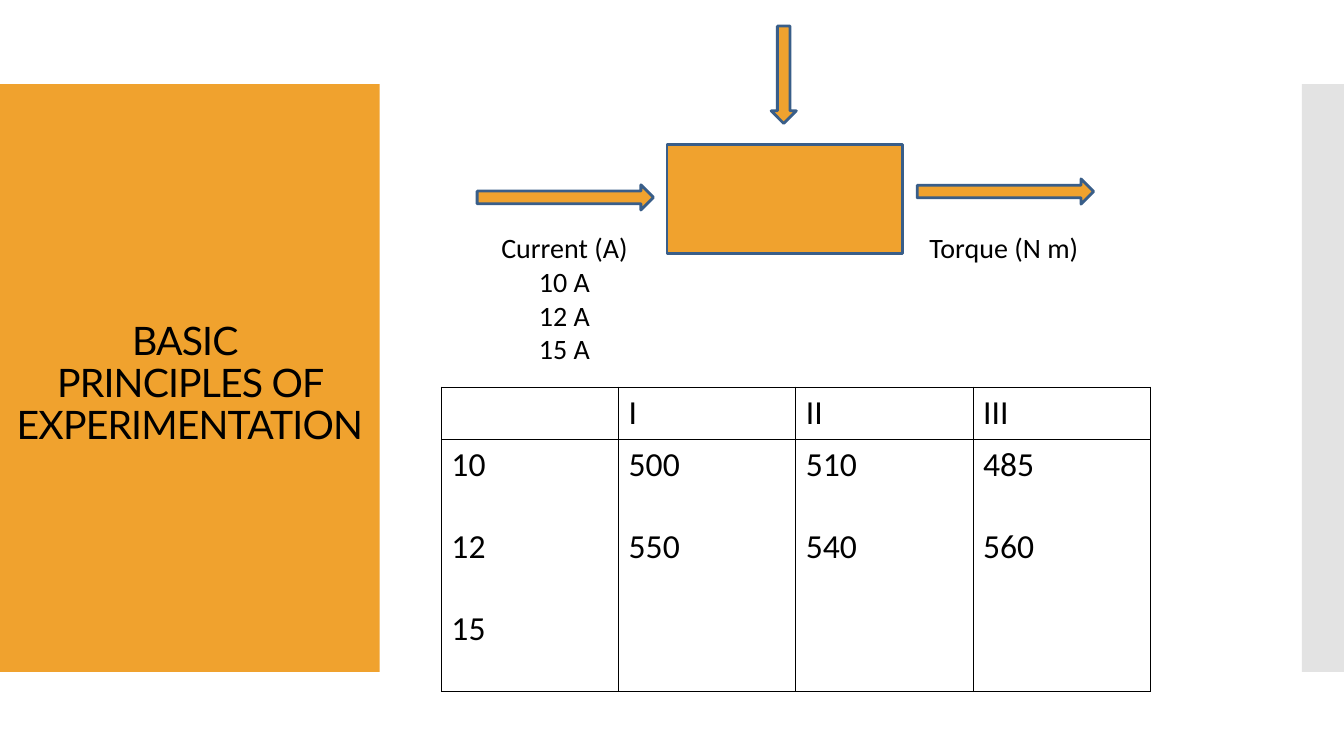
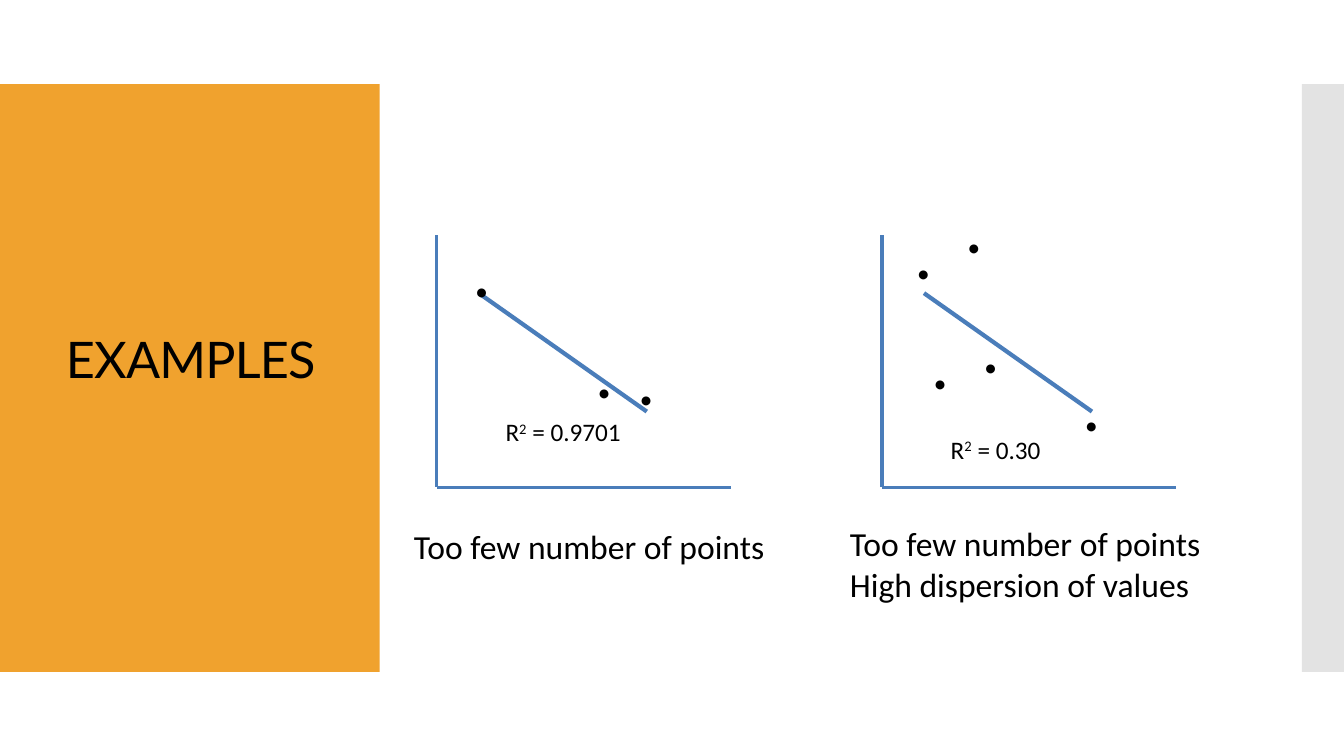
"""Build two slides on the basic principles of experimentation."""
from dataclasses import dataclass
from typing import NamedTuple

from lxml.etree import SubElement
from pptx import Presentation
from pptx.dml.color import RGBColor
from pptx.enum.shapes import MSO_CONNECTOR as Connector, MSO_SHAPE as Preset
from pptx.enum.text import MSO_ANCHOR as Anchor, PP_ALIGN as Align
from pptx.oxml import parse_xml
from pptx.oxml.ns import nsdecls, qn
from pptx.shapes.autoshape import Shape
from pptx.shapes.shapetree import _BaseGroupShapes as Shapes
from pptx.slide import Slide
from pptx.table import _Cell as Cell
from pptx.text.text import TextFrame
from pptx.util import Emu, Inches, Pt

COLUMNS, ROWS = 160, 90
WIDTH, HEIGHT = Inches(13.33), Inches(7.5)
ORANGE, GREY, BLUE, OUTLINE, BLACK = "F0A22E", "C8C8C8", "4A7DBA", "395E89", "000000"
BODY_FONT, TITLE_FONT = "Calibri", "Lato"
BAND_TOP, BAND_HEIGHT = 10, 70
LINE_GAP = 29.3


class Area(NamedTuple):
    """A rectangle in grid columns and rows."""
    column: float
    row: float
    wide: float
    high: float

    def place(self) -> tuple[Emu, Emu, Emu, Emu]:
        return across(self.column), down(self.row), across(self.wide), down(self.high)


class Spot(NamedTuple):
    """A point in grid columns and rows."""
    column: float
    row: float


@dataclass(frozen=True)
class Block:
    """A preset shape of the process diagram."""
    preset: Preset
    area: Area


@dataclass(frozen=True)
class Label:
    """Lines of body text in an area."""
    area: Area
    lines: tuple[str, ...]
    size: float
    align: Align = Align.LEFT


@dataclass(frozen=True)
class Plot:
    """A sketched scatter plot with its fit value."""
    corner: Spot
    points: tuple[Spot, ...]
    fit: str
    fit_spot: Spot


BLOCKS = (
    Block(Preset.RECTANGLE, Area(79.4, 17.2, 28, 13)),
    Block(Preset.RIGHT_ARROW, Area(56.8, 22, 21, 3)),
    Block(Preset.RIGHT_ARROW, Area(109.2, 21.3, 21, 3)),
    Block(Preset.DOWN_ARROW, Area(91.8, 3.1, 3, 11.6)),
)
DIAGRAM_LABELS = (
    Label(Area(55.2, 26.9, 24, 17.4), ("Current (A)", "10 A", "12 A", "15 A"), 20, Align.CENTER),
    Label(Area(107.5, 26.9, 24, 5.3), ("Torque (N m)",), 20, Align.CENTER),
)
CAPTIONS = (
    Label(Area(48.1, 62, 48, 6), ("Too few number of points",), 24),
    Label(Area(100, 61.7, 48, 10.9), ("Too few number of points", "High dispersion of values"), 24),
)
TABLE_AREA = Area(52.55, 46.1, 84.4, 36.2)
TABLE_ROWS = (6.2, 30)
TABLE_TEXT = (
    ((), ("I",), ("II",), ("III",)),
    (("10", "12", "15"), ("500", "550"), ("510", "540"), ("485", "560")),
)
PLOTS = (
    Plot(Spot(52, 28), (Spot(3.4, 4.2), Spot(18, 16.2), Spot(23, 17.1)), "0.9701", Spot(7, 21)),
    Plot(Spot(105, 28), (Spot(3, 2), Spot(23, 20.1), Spot(5, 15.1), Spot(9, -1), Spot(11, 13.2)),
         "0.30", Spot(7, 23.1)),
)
AXIS_WIDE, AXIS_HIGH = 35, 30
TREND_START, TREND_END = Spot(5, 6.9), Spot(25, 21)


def across(columns: float) -> Emu:
    """Return the width of some grid columns."""
    return Emu(round(WIDTH * columns / COLUMNS))


def down(rows: float) -> Emu:
    """Return the height of some grid rows."""
    return Emu(round(HEIGHT * rows / ROWS))


def color(value: str) -> RGBColor:
    """Turn a hex string into a colour."""
    return RGBColor.from_string(value)


def add_block(page: Slide, block: Block, fill: str, outline: str | None = None) -> Shape:
    """Draw a filled preset shape."""
    shape = page.shapes.add_shape(block.preset, *block.area.place())
    shape.shadow.inherit = False
    shape.fill.solid()
    shape.fill.fore_color.rgb = color(fill)
    if outline:
        shape.line.color.rgb = color(outline)
        shape.line.width = Pt(2)
    else:
        shape.line.fill.background()
    return shape


def write(frame: TextFrame, lines: tuple[str, ...], size: float, align: Align = Align.LEFT,
          font: str = BODY_FONT, gap: float = 0) -> None:
    """Write one paragraph per line."""
    for index, line in enumerate(lines):
        para = frame.add_paragraph() if index else frame.paragraphs[0]
        para.text = line
        para.alignment = align
        if index and gap:
            para.space_before = Pt(gap)
        para.font.name = font
        para.font.size = Pt(size)
        para.font.color.rgb = color(BLACK)


def add_label(shapes: Shapes, label: Label, font: str = BODY_FONT) -> TextFrame:
    """Add a wrapped text box."""
    frame = shapes.add_textbox(*label.area.place()).text_frame
    frame.word_wrap = True
    write(frame, label.lines, label.size, label.align, font)
    return frame


def add_line(shapes: Shapes, start: Spot, end: Spot, width: float) -> None:
    """Draw a straight blue line."""
    line = shapes.add_connector(Connector.STRAIGHT, across(start.column), down(start.row),
                                across(end.column), down(end.row))
    line.line.color.rgb = color(BLUE)
    line.line.width = Pt(width)
    SubElement(line._element.spPr, qn("a:effectLst"))


def add_page(deck: Presentation, title: str, area: Area, size: float) -> Slide:
    """Add a slide with its side bands and title."""
    page = deck.slides.add_slide(deck.slide_layouts[6])
    add_block(page, Block(Preset.RECTANGLE, Area(0, BAND_TOP, 45.2, BAND_HEIGHT)), ORANGE)
    side = add_block(page, Block(Preset.RECTANGLE, Area(155, BAND_TOP, 5, BAND_HEIGHT)), GREY)
    tint = side._element.spPr.find(qn("a:solidFill"))[0]
    SubElement(tint, qn("a:alpha")).set("val", "50000")
    frame = add_label(page.shapes, Label(area, (title,), size, Align.CENTER), TITLE_FONT)
    frame.vertical_anchor = Anchor.MIDDLE
    para = frame.paragraphs[0]
    para.line_spacing = 0.9
    for span in para.runs:
        span._r.get_or_add_rPr().set("spc", "-60")
    return page


def add_borders(cell: Cell) -> None:
    """Give a cell thin black borders on all sides."""
    properties = cell._tc.get_or_add_tcPr()
    for index, side in enumerate(("lnL", "lnR", "lnT", "lnB")):
        properties.insert(index, parse_xml(
            f'<a:{side} {nsdecls("a")} w="{Pt(1)}"><a:solidFill><a:srgbClr val="{BLACK}"/>'
            f'</a:solidFill></a:{side}>'))


def add_results(page: Slide) -> None:
    """Add the table of torque results."""
    table = page.shapes.add_table(len(TABLE_TEXT), len(TABLE_TEXT[0]), *TABLE_AREA.place()).table
    table.first_row = table.horz_banding = False
    for row, high, texts in zip(table.rows, TABLE_ROWS, TABLE_TEXT):
        row.height = down(high)
        for cell, lines in zip(row.cells, texts):
            cell.fill.background()
            add_borders(cell)
            write(cell.text_frame, lines, 24, gap=LINE_GAP)


def add_plot(page: Slide, plot: Plot) -> None:
    """Draw a plot as a group of axes, trend line, points and fit value."""
    shapes = page.shapes.add_group_shape().shapes

    def shift(spot: Spot) -> Spot:
        return Spot(plot.corner.column + spot.column, plot.corner.row + spot.row)

    origin = shift(Spot(0, AXIS_HIGH))
    add_line(shapes, plot.corner, origin, 2.25)
    add_line(shapes, origin, shift(Spot(AXIS_WIDE, AXIS_HIGH)), 2.25)
    add_line(shapes, shift(TREND_START), shift(TREND_END), 3)
    for point in plot.points:
        add_label(shapes, Label(Area(*shift(point), 7, 4.8), ("•",), 18))
    frame = add_label(shapes, Label(Area(*shift(plot.fit_spot), 19, 4.8), ("R",), 18))
    para = frame.paragraphs[0]
    power = para.add_run()
    power.text = "2"
    power._r.get_or_add_rPr().set("baseline", "30000")
    para.add_run().text = f" = {plot.fit}"


def main() -> None:
    """Build and save the deck."""
    deck = Presentation()
    deck.slide_width, deck.slide_height = WIDTH, HEIGHT

    principles = add_page(deck, "BASIC \vPRINCIPLES OF EXPERIMENTATION",
                          Area(0, 17.4, 45.2, 56.8), 28)
    for block in BLOCKS:
        add_block(principles, block, ORANGE, OUTLINE)
    for label in DIAGRAM_LABELS:
        add_label(principles.shapes, label)
    add_results(principles)

    examples = add_page(deck, "EXAMPLES", Area(4.7, 13.8, 36, 58.7), 36)
    for plot in PLOTS:
        add_plot(examples, plot)
    for caption in CAPTIONS:
        add_label(examples.shapes, caption)

    deck.save("out.pptx")


if __name__ == "__main__":
    main()
